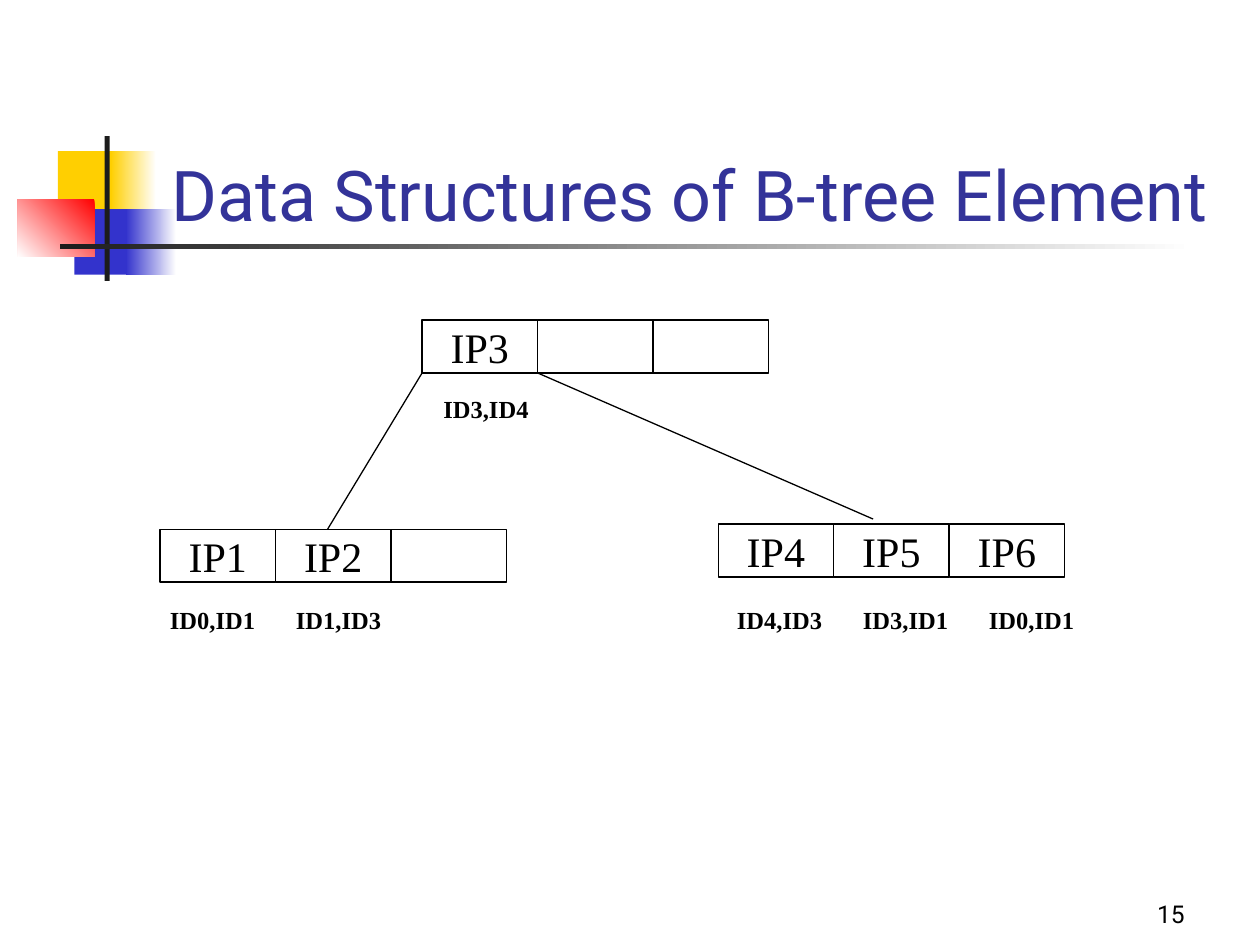
from lxml import etree
from pptx import Presentation
from pptx.dml.color import RGBColor
from pptx.enum.shapes import MSO_CONNECTOR, MSO_SHAPE
from pptx.enum.text import MSO_ANCHOR, PP_ALIGN
from pptx.oxml.ns import qn
from pptx.util import Inches, Pt

COLORS = {
    "white": "FFFFFF", "black": "000000", "yellow": "FFCF01",
    "blue": "3333CC", "red": "FF0000", "dark": "1C1C1C", "title": "333399",
}
SERIF, SANS = "Times New Roman", "Roboto"
NODE_W, CELL_H = 2.75, 0.42
CELL_W = NODE_W / 3


def rgb(name):
    return RGBColor.from_string(COLORS[name])


def add_rect(slide, left, top, width, height):
    sp = slide.shapes.add_shape(
        MSO_SHAPE.RECTANGLE, *map(Inches, (left, top, width, height)))
    sp.shadow.inherit = False
    return sp


def write(sp, text, size, font, color="black", bold=False,
          align=PP_ALIGN.LEFT, anchor=MSO_ANCHOR.TOP, wrap=False):
    tf = sp.text_frame
    tf.word_wrap = wrap
    tf.vertical_anchor = anchor
    p = tf.paragraphs[0]
    p.text = text
    p.alignment = align
    p.font.size, p.font.name, p.font.bold = Pt(size), font, bold
    p.font.color.rgb = rgb(color)


def add_text(slide, box, text, size, font, **style):
    write(slide.shapes.add_textbox(*map(Inches, box)), text, size, font, **style)


def add_block(slide, box, start, end=None, angle=0):
    sp = add_rect(slide, *box)
    sp.line.fill.background()
    if end is None:
        sp.fill.solid()
        sp.fill.fore_color.rgb = rgb(start)
        return
    sp.fill.gradient()
    sp.fill.gradient_angle = angle
    for stop, name in zip(sp.fill.gradient_stops, (start, end)):
        stop.color.rgb = rgb(name)


def add_ornament(slide, left, top):
    blocks = [
        (0.32, 0.12, 0.48, 0.52, "yellow"),
        (0.74, 0.12, 0.36, 0.52, "white", "yellow", 180),
        (0.45, 0.58, 0.46, 0.52, "blue"),
        (0.86, 0.58, 0.40, 0.52, "white", "blue", 180),
        (0, 0.50, 0.61, 0.46, "red", "white", 225),
        (0.69, 0, 0.04, 1.15, "dark"),
        (0.34, 0.86, 9, 0.04, "white", "dark", 180),
    ]
    for x, y, w, h, *paint in blocks:
        add_block(slide, (left + x, top + y, w, h), *paint)


def add_title(slide, left, top, width, height):
    title = slide.shapes.title
    title.left, title.top, title.width, title.height = map(
        Inches, (left, top, width, height))
    write(title, "Data Structures of B-tree Element", 40, SANS, "title",
          anchor=MSO_ANCHOR.BOTTOM, wrap=True)


def add_node(slide, left, top, keys, ids, ids_left, ids_top):
    for i, key in enumerate(keys):
        sp = add_rect(slide, left + i * CELL_W, top, CELL_W, CELL_H)
        sp.fill.solid()
        sp.fill.fore_color.rgb = rgb("white")
        sp.line.color.rgb = rgb("black")
        sp.line.width = Pt(0.75)
        if key:
            write(sp, key, 24, SERIF, align=PP_ALIGN.CENTER,
                  anchor=MSO_ANCHOR.MIDDLE)
    for i, pair in enumerate(ids):
        add_text(slide, (ids_left + i, ids_top, 0.92, 0.34), pair, 14, SERIF,
                 bold=True, wrap=True)


def add_branch(slide, x1, y1, x2, y2):
    line = slide.shapes.add_connector(
        MSO_CONNECTOR.STRAIGHT, *map(Inches, (x1, y1, x2, y2)))
    line.line.color.rgb = rgb("black")
    line.line.width = Pt(0.75)
    etree.SubElement(line._element.spPr, qn("a:effectLst"))


def add_tree(slide, left, top):
    root_x, root_bottom = left + 2.1, top + CELL_H
    add_node(slide, root_x, top, ["IP3", "", ""], ["ID3,ID4"],
             left + 2.17, top + 0.54)
    add_node(slide, left + 0.02, top + 1.66, ["IP1", "IP2", ""],
             ["ID0,ID1", "ID1,ID3"], left, top + 2.21)
    add_node(slide, left + 4.45, top + 1.62, ["IP4", "IP5", "IP6"],
             ["ID4,ID3", "ID3,ID1", "ID0,ID1"], left + 4.5, top + 2.21)
    add_branch(slide, root_x, root_bottom, left + 1.35, top + 1.66)
    add_branch(slide, root_x + CELL_W, root_bottom, left + 5.68, top + 1.58)


def main():
    prs = Presentation()
    prs.slide_width, prs.slide_height = Inches(10), Inches(7.5)
    slide = prs.slides.add_slide(prs.slide_layouts[5])
    add_ornament(slide, 0.14, 1.08)
    add_tree(slide, 1.25, 2.54)
    add_title(slide, 1.26, 0.67, 8.52, 1.25)
    add_text(slide, (7.42, 6.92, 2.08, 0.5), "15", 14, SANS,
             align=PP_ALIGN.RIGHT, anchor=MSO_ANCHOR.BOTTOM, wrap=True)
    prs.save("out.pptx")


if __name__ == "__main__":
    main()
